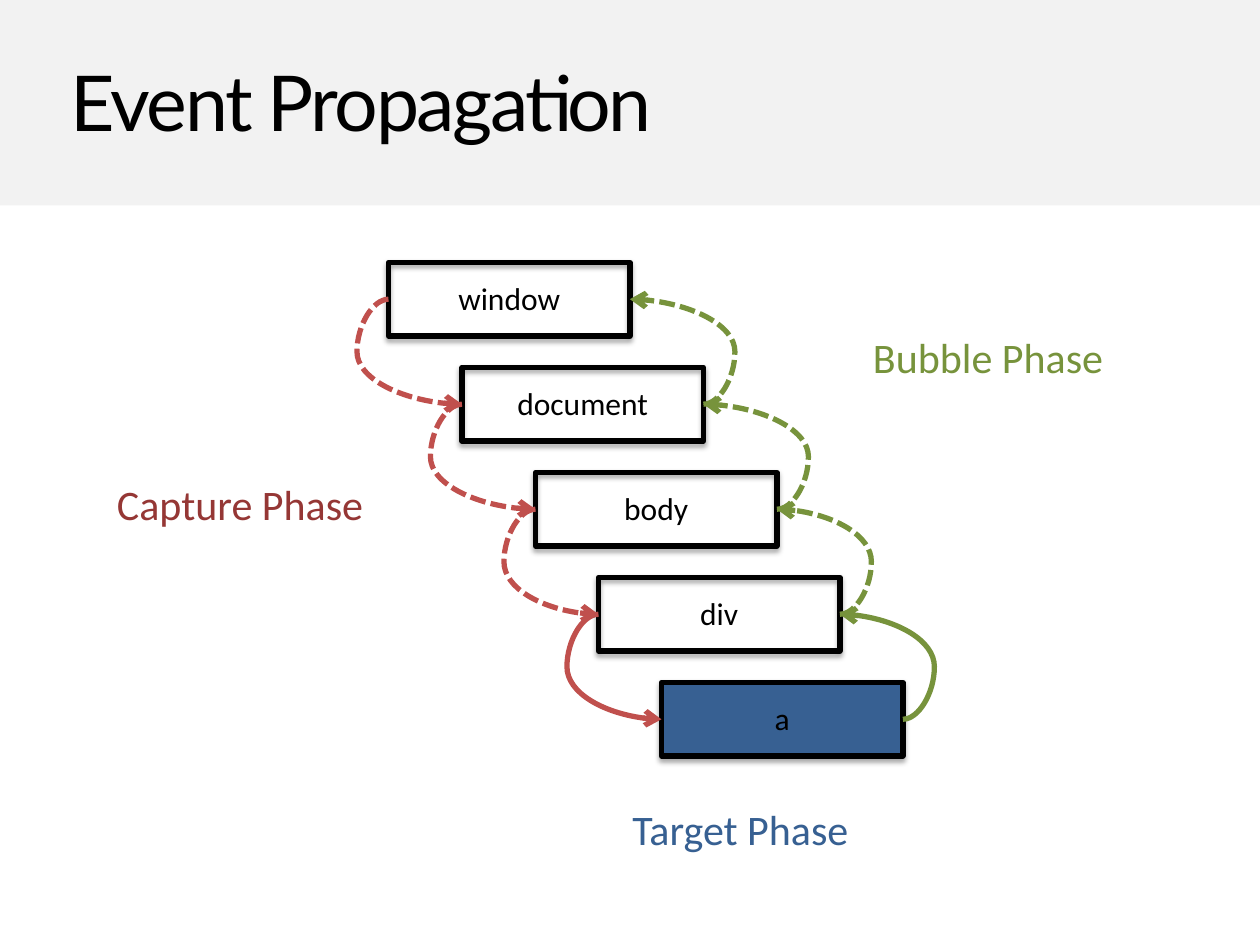
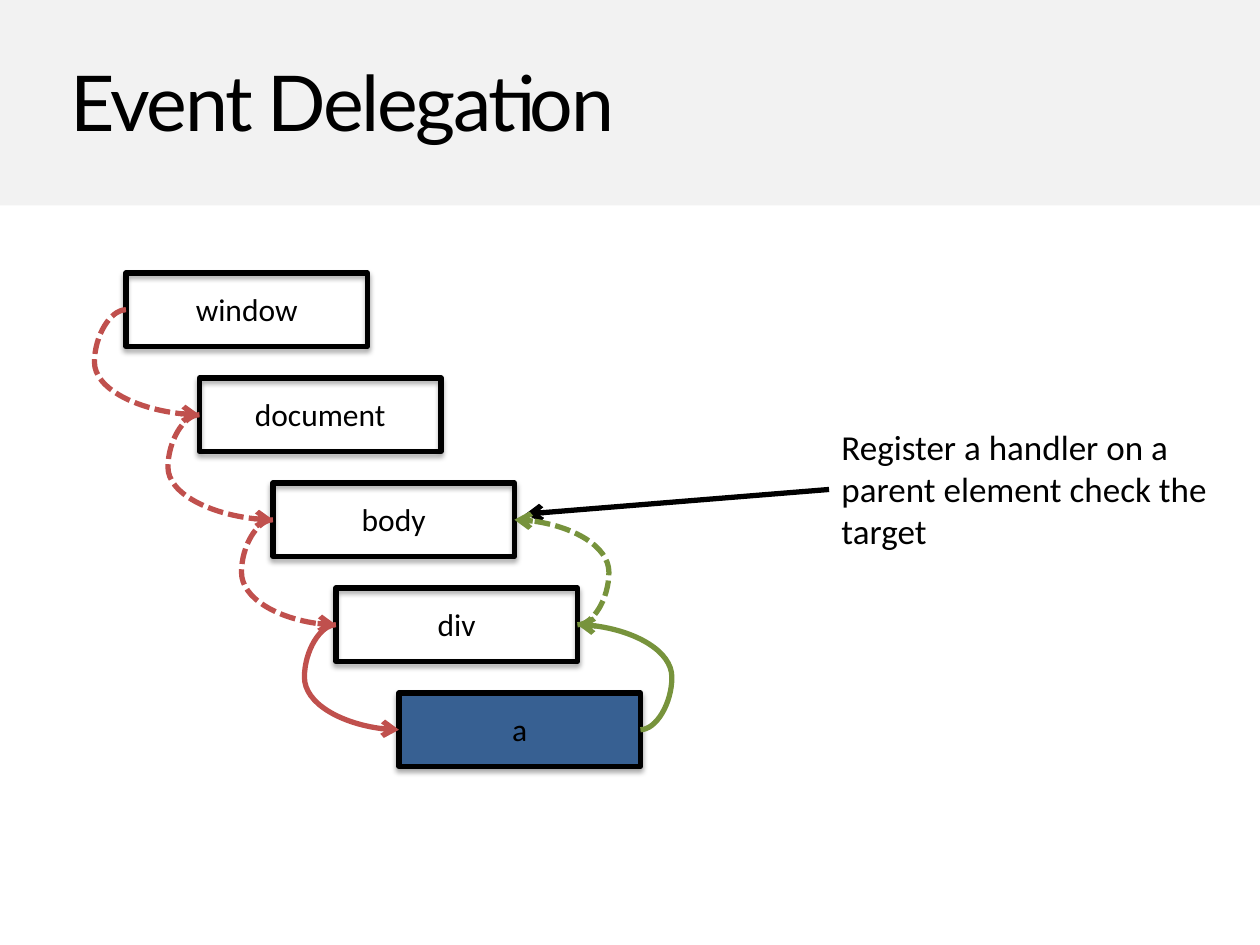
from lxml import etree
from pptx import Presentation
from pptx.dml.color import RGBColor
from pptx.enum.dml import MSO_LINE
from pptx.enum.shapes import MSO_CONNECTOR, MSO_SHAPE
from pptx.enum.text import MSO_AUTO_SIZE, PP_ALIGN
from pptx.oxml.ns import qn
from pptx.util import Inches, Pt

RECTANGLE = MSO_SHAPE.RECTANGLE
CURVE, STRAIGHT = MSO_CONNECTOR.CURVE, MSO_CONNECTOR.STRAIGHT
DASH = MSO_LINE.SQUARE_DOT
LEFT, CENTER = PP_ALIGN.LEFT, PP_ALIGN.CENTER
FIT_TEXT = MSO_AUTO_SIZE.SHAPE_TO_FIT_TEXT

COLORS = {
    "band": "F2F2F2",
    "ink": "000000",
    "capture": "C0504D",
    "capture_label": "953735",
    "bubble": "77933C",
    "target": "376092",
}
TITLE_FONT, BODY_FONT = "Lato", "Calibri"

# The staircase sits on a grid of twelfths of an inch.
UNIT = 1 / 12
NODES = ["window", "document", "body", "div", "a"]
NODE_OFFSETS = [0, 7 * UNIT, 14 * UNIT, 20 * UNIT, 26 * UNIT]
NODE_WIDTH, NODE_HEIGHT, ROW_STEP = 23 * UNIT, 7 * UNIT, 10 * UNIT
LABEL_DROP, LABEL_HEIGHT = UNIT, 0.4
BULGE = 3 * UNIT
LINE_WIDTH = Pt(3)


def rgb(name):
    return RGBColor.from_string(COLORS[name])


def add_text(slide, box, text, size, color="ink", font=BODY_FONT,
             align=LEFT, wrap=True):
    label = slide.shapes.add_textbox(*map(Inches, box))
    frame = label.text_frame
    frame.text = text
    frame.word_wrap = wrap
    frame.auto_size = FIT_TEXT
    paragraph = frame.paragraphs[0]
    paragraph.alignment = align
    run_font = paragraph.runs[0].font
    run_font.name, run_font.size = font, Pt(size)
    run_font.color.rgb = rgb(color)
    return paragraph


def add_arrow(slide, kind, start, end, color, dashed=False):
    arrow = slide.shapes.add_connector(kind, *map(Inches, (*start, *end)))
    arrow.line.color.rgb = rgb(color)
    arrow.line.width = LINE_WIDTH
    if dashed:
        arrow.line.dash_style = DASH
    etree.SubElement(arrow.line._get_or_add_ln(), qn("a:tailEnd"), type="arrow")
    etree.SubElement(arrow._element.spPr, qn("a:effectLst"))
    return arrow


def add_hop(slide, start, end, color, dashed):
    """Curved arrow that swings out by BULGE before it turns to its end."""
    hop = add_arrow(slide, CURVE, start, end, color, dashed)
    bend = round(-100000 * BULGE / abs(end[0] - start[0]))
    adjustments = hop._element.spPr.find(qn("a:prstGeom")).get_or_add_avLst()
    etree.SubElement(adjustments, qn("a:gd"), name="adj1", fmla=f"val {bend}")


def add_soft_shadow(shape):
    shape.shadow.inherit = False
    effects = shape._element.spPr.find(qn("a:effectLst"))
    shadow = etree.SubElement(effects, qn("a:outerShdw"), blurRad=str(Pt(3.1)),
                              dist=str(Pt(1.8)), dir="5400000", rotWithShape="0")
    black = etree.SubElement(shadow, qn("a:srgbClr"), val=COLORS["ink"])
    etree.SubElement(black, qn("a:alpha"), val="35000")


def add_node(slide, left, top, name, is_target):
    node = slide.shapes.add_shape(
        RECTANGLE, *map(Inches, (left, top, NODE_WIDTH, NODE_HEIGHT)))
    if is_target:
        node.fill.solid()
        node.fill.fore_color.rgb = rgb("target")
    else:
        node.fill.background()
    node.line.color.rgb = rgb("ink")
    node.line.width = LINE_WIDTH
    add_soft_shadow(node)
    add_text(slide, (left, top + LABEL_DROP, NODE_WIDTH, LABEL_HEIGHT), name, 18,
             align=CENTER)


def add_staircase(slide, left, top, bubble_to):
    """DOM nodes with capture arrows down and bubble arrows up to bubble_to."""
    corners = [(left + offset, top + row * ROW_STEP)
               for row, offset in enumerate(NODE_OFFSETS)]
    last = len(NODES) - 1
    for row, (corner, name) in enumerate(zip(corners, NODES)):
        add_node(slide, *corner, name, is_target=row == last)

    entries = [(x, y + NODE_HEIGHT / 2) for x, y in corners]
    exits = [(x + NODE_WIDTH, y) for x, y in entries]
    for row in range(last):
        add_hop(slide, entries[row], entries[row + 1], "capture", row + 1 < last)
    for row in range(last, NODES.index(bubble_to), -1):
        add_hop(slide, exits[row], exits[row - 1], "bubble", row < last)


def add_titled_slide(deck, title):
    slide = deck.slides.add_slide(deck.slide_layouts[6])
    band = slide.shapes.add_shape(RECTANGLE, 0, 0, deck.slide_width, Inches(1.63))
    band.fill.solid()
    band.fill.fore_color.rgb = rgb("band")
    band.line.fill.background()
    band.shadow.inherit = False
    heading = add_text(slide, (0.46, 0.38, 9.15, 0.83), title, 44, font=TITLE_FONT)
    heading.line_spacing = 1.01
    heading.runs[0].font._element.set("spc", "-140")
    return slide


def build_propagation(deck):
    slide = add_titled_slide(deck, "Event Propagation")
    add_staircase(slide, 37 * UNIT, 25 * UNIT, bubble_to="window")
    for phase, left, top, width, color in [
        ("Capture Phase", 0.83, 3.75, 2.18, "capture_label"),
        ("Bubble Phase", 6.83, 2.58, 2.05, "bubble"),
        ("Target Phase", 4.92, 6.33, 1.97, "target"),
    ]:
        add_text(slide, (left, top, width, 0.5), phase, 24, color, wrap=False)


def build_delegation(deck):
    slide = add_titled_slide(deck, "Event Delegation")
    note_left, note_top, note_height = 6.58, 3.33, 1.11
    add_arrow(slide, STRAIGHT, (note_left, note_top + note_height / 2),
              (4.17, 4.08), "ink")
    add_text(slide, (note_left, note_top, 3.19, note_height),
             "Register a handler on a parent element check the target", 20)
    add_staircase(slide, 12 * UNIT, 26 * UNIT, bubble_to="body")


def main():
    deck = Presentation()
    deck.slide_width, deck.slide_height = Inches(10), Inches(7.5)
    build_propagation(deck)
    build_delegation(deck)
    deck.save("out.pptx")


if __name__ == "__main__":
    main()
